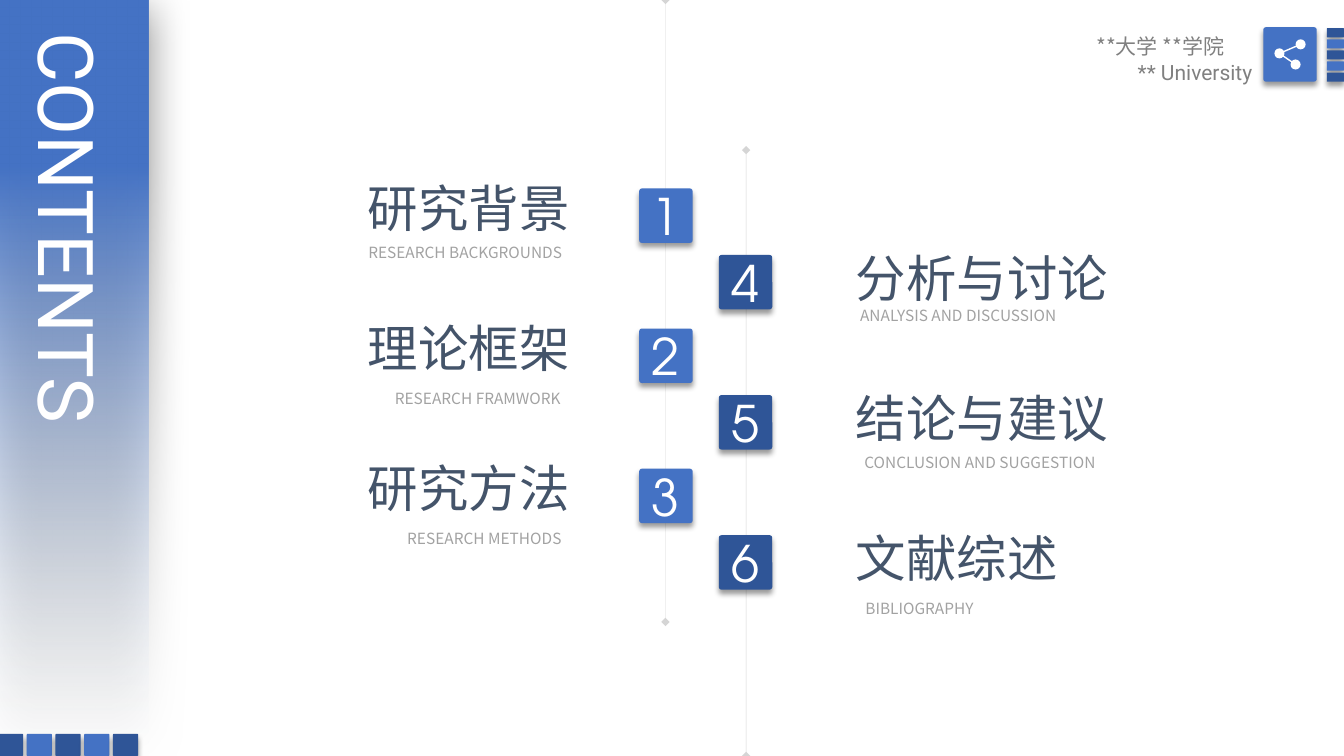
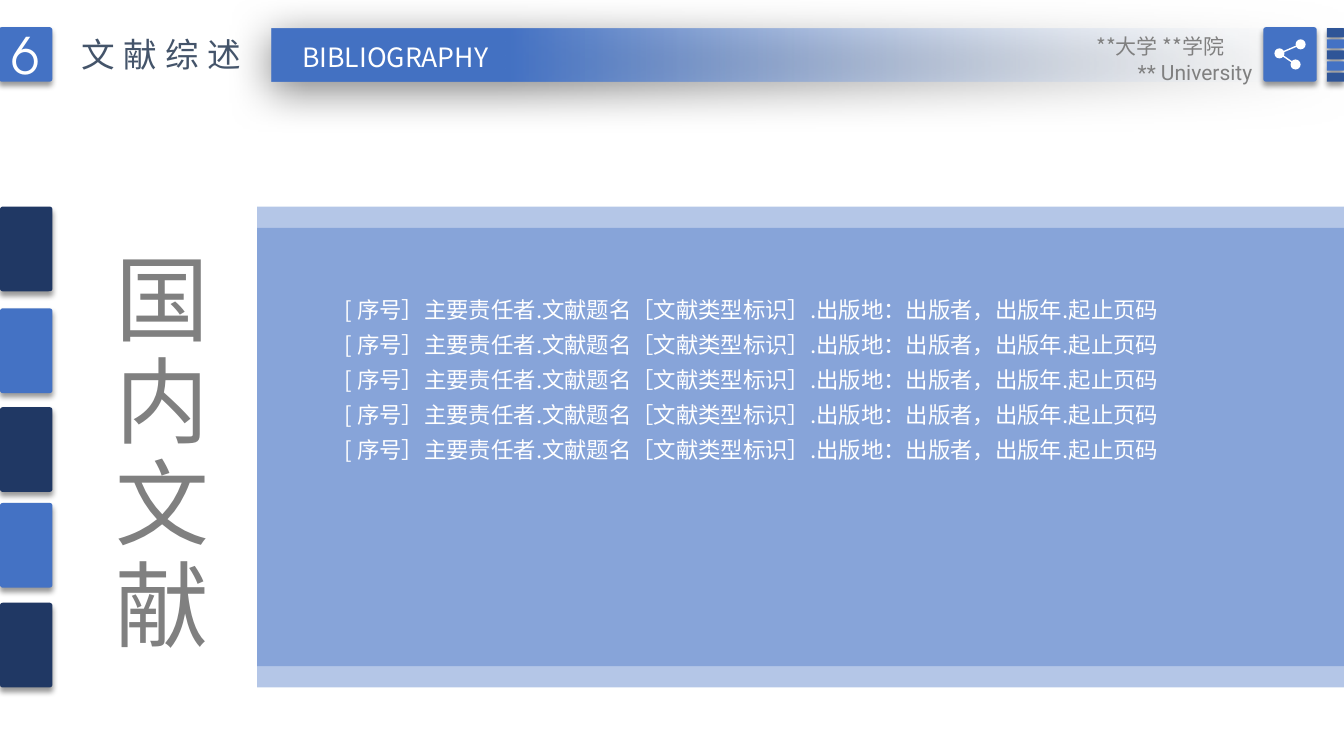
from dataclasses import dataclass
from typing import Optional

from lxml.etree import SubElement
from pptx import Presentation
from pptx.dml.color import RGBColor
from pptx.enum.shapes import MSO_CONNECTOR, MSO_SHAPE
from pptx.enum.text import MSO_ANCHOR, MSO_AUTO_SIZE, PP_ALIGN
from pptx.oxml.ns import qn
from pptx.util import Inches, Pt

# Shared look
BLUE = RGBColor(0x44, 0x72, 0xC4)
DARK_BLUE = RGBColor(0x2F, 0x55, 0x97)
NAVY = RGBColor(0x20, 0x38, 0x64)
PALE = RGBColor(0xF7, 0xFA, 0xFD)
SLATE = RGBColor(0x44, 0x54, 0x6A)
GRAY = RGBColor(0x80, 0x80, 0x80)
LIGHT_GRAY = RGBColor(0xA2, 0xA2, 0xA2)
WHITE = RGBColor(0xFF, 0xFF, 0xFF)
CJK, ROBOTO, DIGITS = "Noto Sans CJK SC", "Roboto", "TeX Gyre Adventor"
SLIDE_W, SLIDE_H = 13.33, 7.5


@dataclass(frozen=True)
class Box:
    left: float
    top: float
    width: float
    height: float

    def lengths(self) -> tuple:
        return tuple(Inches(v) for v in (self.left, self.top, self.width, self.height))


@dataclass(frozen=True)
class Style:
    size: float
    color: RGBColor
    font: str = CJK
    align: PP_ALIGN = PP_ALIGN.LEFT
    spacing: float = 0
    line_spacing: Optional[float] = None


@dataclass(frozen=True)
class Shadow:
    opacity: int
    blur: float
    distance: float
    angle: int


@dataclass(frozen=True)
class Column:
    badge_left: float
    badge_top: float
    text_left: float
    text_top: float
    color: RGBColor


@dataclass(frozen=True)
class Chapter:
    heading: str
    width: float
    caption: str
    caption_box: Box


TILE_SHADOW = Shadow(40, 4, 3, 90)
BAND_SHADOW = Shadow(50, 31, 6, 97)
HEADING = Style(36, SLATE)
CAPTION = Style(11, LIGHT_GRAY, align=PP_ALIGN.CENTER)
BADGE = Style(36, WHITE, DIGITS, PP_ALIGN.CENTER)

ROW_PITCH = 1.39
COLUMNS = (
    Column(6.34, 1.87, 3.55, 1.71, BLUE),
    Column(7.13, 2.53, 8.39, 2.4, DARK_BLUE),
)
CHAPTERS = (
    Chapter("研究背景", 2.22, "RESEARCH BACKGROUNDS", Box(3.5, 2.36, 2.23, 0.29)),
    Chapter("理论框架", 2.22, "RESEARCH FRAMWORK", Box(3.76, 3.81, 1.96, 0.29)),
    Chapter("研究方法", 2.22, "RESEARCH METHODS", Box(3.9, 5.2, 1.81, 0.29)),
    Chapter("分析与讨论", 2.73, "ANALYSIS AND DISCUSSION", Box(8.34, 2.99, 2.33, 0.29)),
    Chapter("结论与建议", 2.73, "CONCLUSION AND SUGGESTION", Box(8.38, 4.45, 2.68, 0.29)),
    Chapter("文献综述", 2.22, "BIBLIOGRAPHY", Box(8.46, 5.89, 1.32, 0.29)),
)
REFERENCE = "[ 序号］主要责任者.文献题名［文献类型标识］.出版地：出版者，出版年.起止页码"


# Drawing helpers
def set_opacity(sp, percent: int) -> None:
    color = next(sp.element.spPr.iter(qn("a:srgbClr")))
    SubElement(color, qn("a:alpha"), val=str(percent * 1000))


def add_shadow(sp, shadow: Shadow) -> None:
    effects = sp.element.spPr.find(qn("a:effectLst"))
    outer = SubElement(
        effects, qn("a:outerShdw"), blurRad=str(Pt(shadow.blur)),
        dist=str(Pt(shadow.distance)), dir=str(shadow.angle * 60000),
        algn="ctr", rotWithShape="0")
    color = SubElement(outer, qn("a:srgbClr"), val="000000")
    SubElement(color, qn("a:alpha"), val=str(shadow.opacity * 1000))


def add_block(shapes, box: Box, color: RGBColor, kind=MSO_SHAPE.RECTANGLE):
    sp = shapes.add_shape(kind, *box.lengths())
    sp.fill.solid()
    sp.fill.fore_color.rgb = color
    sp.line.fill.background()
    sp.shadow.inherit = False
    return sp


def add_tile(shapes, box: Box, color: RGBColor):
    sp = add_block(shapes, box, color, MSO_SHAPE.ROUNDED_RECTANGLE)
    sp.adjustments[0] = 0.05
    add_shadow(sp, TILE_SHADOW)
    return sp


def add_fading_band(shapes, box: Box, angle: int) -> None:
    sp = add_block(shapes, box, BLUE)
    sp.fill.gradient()
    sp.fill.gradient_angle = angle
    for stop, position, color in zip(sp.fill.gradient_stops, (0, 0.78), (PALE, BLUE)):
        stop.position = position
        stop.color.rgb = color
    set_opacity(sp, 0)
    add_shadow(sp, BAND_SHADOW)


def add_line(shapes, x1: float, y1: float, x2: float, y2: float,
             color: RGBColor, width: float):
    line = shapes.add_connector(
        MSO_CONNECTOR.STRAIGHT, Inches(x1), Inches(y1), Inches(x2), Inches(y2))
    line.line.color.rgb = color
    line.line.width = Pt(width)
    SubElement(line.element.spPr, qn("a:effectLst"))
    return line


def set_text(sp, lines: list[str], style: Style) -> None:
    tf = sp.text_frame
    tf.text = "\n".join(lines)
    for p in tf.paragraphs:
        p.alignment = style.align
        if style.line_spacing:
            p.line_spacing = style.line_spacing
        for r in p.runs:
            r.font.size = Pt(style.size)
            r.font.name = style.font
            r.font.color.rgb = style.color
            r_pr = r.font._element if hasattr(r.font, "_element") else r._r.get_or_add_rPr()
            SubElement(r_pr, qn("a:ea"), typeface=style.font)
            if style.spacing:
                r_pr.set("spc", str(int(style.spacing * 100)))


def format_text(sp, lines: list[str], style: Style, wrap: bool, vertical: bool) -> None:
    set_text(sp, lines, style)
    tf = sp.text_frame
    tf.word_wrap = wrap
    tf.auto_size = MSO_AUTO_SIZE.SHAPE_TO_FIT_TEXT
    tf.vertical_anchor = MSO_ANCHOR.TOP
    if vertical:
        next(sp.element.iter(qn("a:bodyPr"))).set("vert", "eaVert")


def add_text(shapes, box: Box, lines: list[str], style: Style,
             wrap: bool = False, vertical: bool = False) -> None:
    sp = shapes.add_textbox(*box.lengths())
    format_text(sp, lines, style, wrap, vertical)


def place_title(slide, box: Box, text: str, style: Style,
                wrap: bool = False, vertical: bool = False) -> None:
    title = slide.shapes.title
    title.left, title.top, title.width, title.height = box.lengths()
    format_text(title, [text], style, wrap, vertical)
    title.element.getparent().append(title.element)  # bring in front of the band


def add_badge(shapes, left: float, top: float, number: int, color: RGBColor) -> None:
    sp = add_tile(shapes, Box(left, top, 0.53, 0.54), color)
    set_text(sp, [str(number)], BADGE)
    sp.text_frame.vertical_anchor = MSO_ANCHOR.MIDDLE


def add_header(slide) -> None:
    shapes = slide.shapes.add_group_shape().shapes
    # Stripes at the slide edge
    for i in range(5):
        add_tile(shapes, Box(13.16, 0.28 + 0.11 * i, 0.17, 0.09),
                 BLUE if i % 2 else DARK_BLUE)
    # Share icon
    add_tile(shapes, Box(12.53, 0.27, 0.53, 0.54), BLUE)
    hub, *ends = nodes = ((12.69, 0.53), (12.9, 0.44), (12.85, 0.64))
    for end in ends:
        add_line(shapes, *hub, *end, WHITE, 1)
    for x, y in nodes:
        add_block(shapes, Box(x - 0.05, y - 0.05, 0.1, 0.1), WHITE, MSO_SHAPE.OVAL)
    # School name
    for text, font, right, top in (("**大学 **学院", CJK, 12.24, 0.28),
                                   ("** University", ROBOTO, 12.52, 0.54)):
        add_text(shapes, Box(right - 2.37, top, 2.37, 0.35), [text],
                 Style(15, GRAY, font, PP_ALIGN.RIGHT), wrap=True)


# Slides
def build_contents(slide) -> None:
    shapes = slide.shapes
    # Timelines
    for x, top, bottom in ((7.4, 1.49, SLIDE_H), (6.6, 0, 6.17)):
        line = add_line(shapes, x, top, x, bottom, GRAY, 0.25)
        set_opacity(line, 33)
        ln = line.element.spPr.find(qn("a:ln"))
        for end in ("a:headEnd", "a:tailEnd"):
            SubElement(ln, qn(end), type="diamond")

    # Side band with its title and tiles
    add_fading_band(shapes, Box(0, 0, 1.47, 7.46), 90)
    for i in range(5):
        add_tile(shapes, Box(-0.02 + 0.285 * i, 7.28, 0.25, 0.22),
                 BLUE if i % 2 else DARK_BLUE)
    place_title(slide, Box(0.12, 0.27, 1.13, 4.94), "CONTENTS",
                Style(55, WHITE, ROBOTO), wrap=True, vertical=True)

    # Chapters, three to a column
    for i, chapter in enumerate(CHAPTERS):
        column, offset = COLUMNS[i // 3], ROW_PITCH * (i % 3)
        add_badge(shapes, column.badge_left, column.badge_top + offset, i + 1, column.color)
        add_text(shapes, Box(column.text_left, column.text_top + offset, chapter.width, 0.71),
                 [chapter.heading], HEADING)
        add_text(shapes, chapter.caption_box, [chapter.caption], CAPTION)
    add_header(slide)


def build_bibliography(slide) -> None:
    shapes = slide.shapes
    # Overlapping panels
    for top in (2.26, 2.05):
        set_opacity(add_block(shapes, Box(2.55, top, SLIDE_W - 2.55, 4.56), BLUE), 40)

    # Side tiles and vertical label
    for i, top in enumerate((2.05, 3.06, 4.04, 4.99, 5.98)):
        add_tile(shapes, Box(0, top, 0.52, 0.84), BLUE if i % 2 else NAVY)
    add_text(shapes, Box(0.86, 2.4, 1.33, 4.2), ["国内文献"],
             Style(67, GRAY, spacing=6), vertical=True)
    add_text(shapes, Box(3.32, 2.81, 9.25, 2.19), [REFERENCE] * 5,
             Style(16, WHITE, line_spacing=1.3), wrap=True)

    # Top band with chapter number and title
    add_fading_band(shapes, Box(2.69, 0.28, SLIDE_W - 2.69, 0.53), 180)
    add_badge(shapes, -0.01, 0.27, 6, BLUE)
    place_title(slide, Box(0.71, 0.29, 1.88, 0.5), "文献综述", Style(24, SLATE, spacing=6))
    add_text(shapes, Box(2.85, 0.36, 2.14, 0.42), ["BIBLIOGRAPHY"],
             Style(19, WHITE, align=PP_ALIGN.CENTER))
    add_header(slide)


def main() -> None:
    prs = Presentation()
    prs.slide_width, prs.slide_height = Inches(SLIDE_W), Inches(SLIDE_H)
    title_only = prs.slide_layouts[5]
    for build in (build_contents, build_bibliography):
        build(prs.slides.add_slide(title_only))
    prs.save("out.pptx")


if __name__ == "__main__":
    main()
